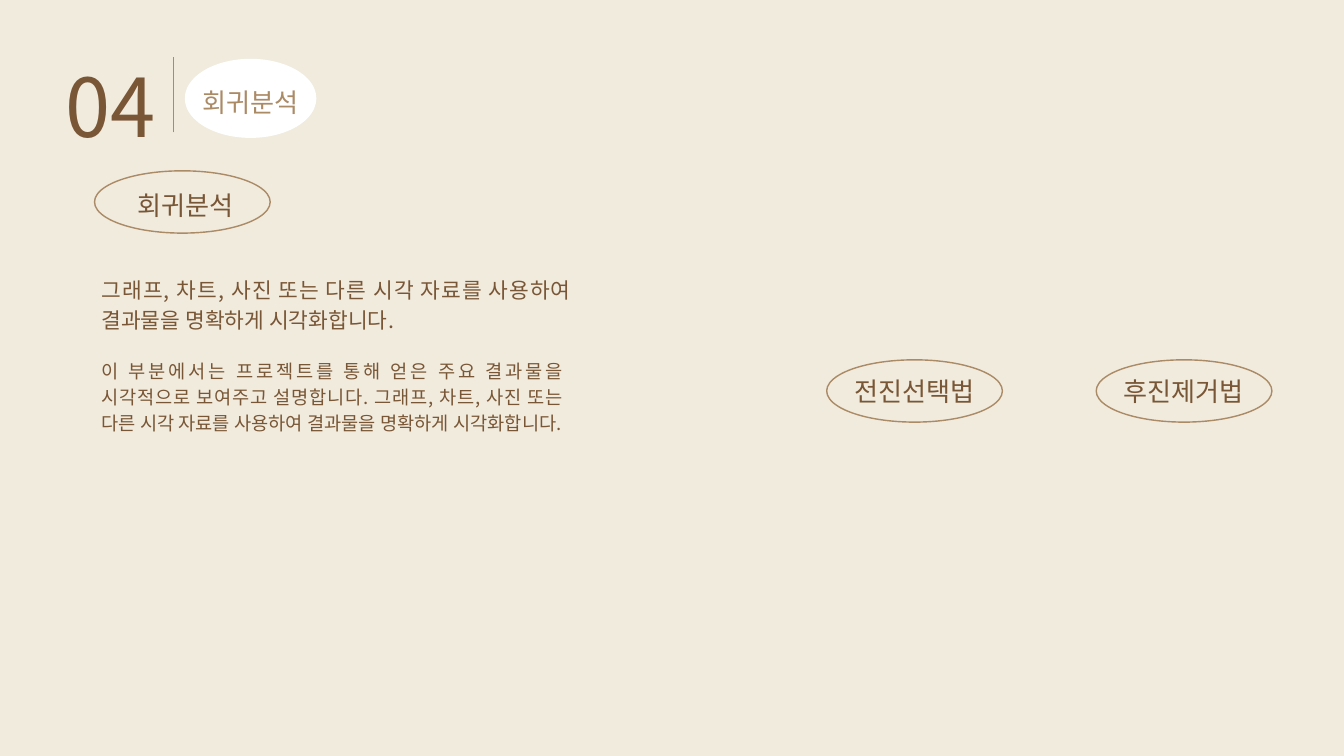
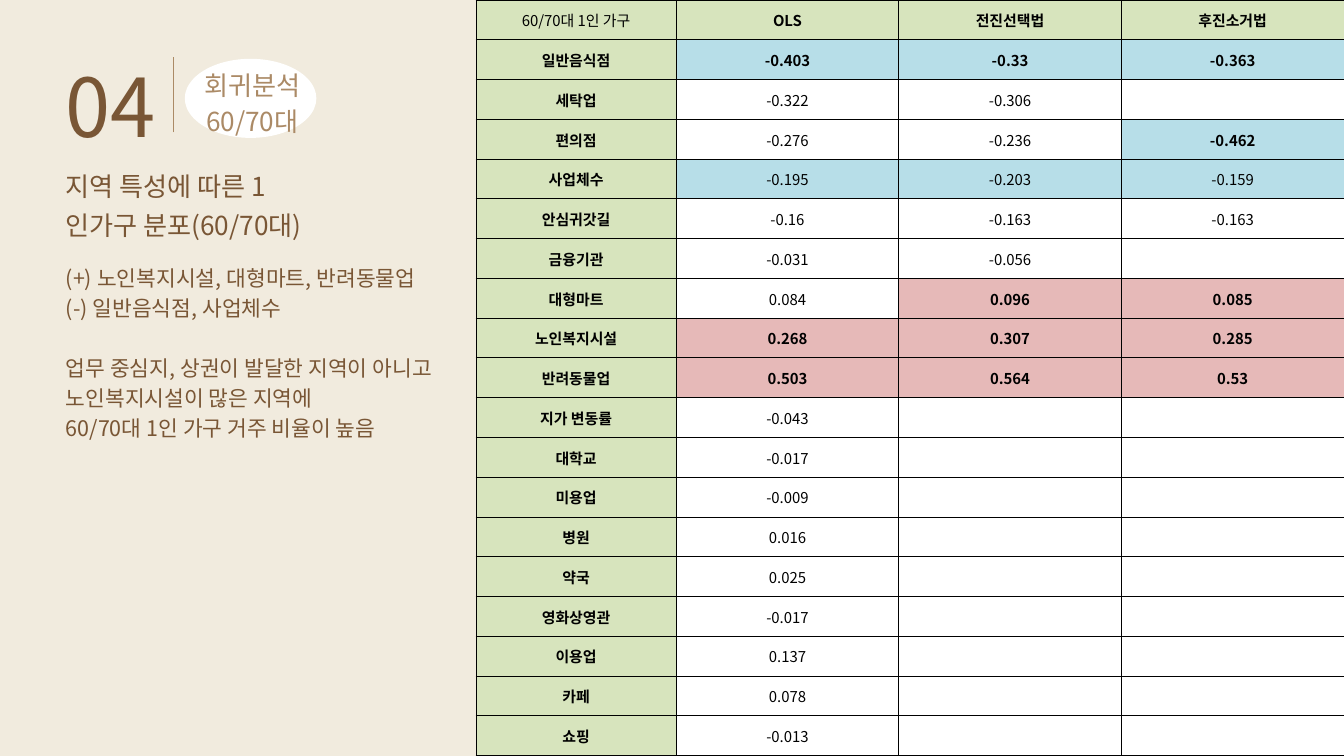
"""Builds the two regression analysis slides."""
from typing import NamedTuple

import lxml.etree
import pptx
import pptx.dml.color
import pptx.enum.shapes
import pptx.enum.text
import pptx.oxml.ns
import pptx.util

EMU_PER_PX = 9525
SANS = "Noto Sans CJK KR"
CREAM, BROWN, TAN = "F1EBDE", "795635", "AB8A66"
WHITE, BLACK = "FFFFFF", "000000"
GREEN, BLUE, PINK = "D7E4BD", "B7DEE8", "E6B9B8"
ALIGN = pptx.enum.text.PP_ALIGN


class Style(NamedTuple):
    size: int
    leading: float
    align: ALIGN = ALIGN.LEFT
    color: str = BROWN
    font: str = SANS


class Text(NamedTuple):
    left: int
    top: int
    width: int
    height: int
    style: Style
    lines: tuple[str, ...]
    gap_before: int = 0


class Badge(NamedTuple):
    left: int
    top: int
    label: Text


class Row(NamedTuple):
    name: str
    values: tuple[str, ...]
    marked: tuple[int, ...] = ()
    bold: bool = True


NUMBER = Style(87, 121.9)
TITLE = Style(28, 39.3, ALIGN.CENTER, TAN)
LABEL = Style(28, 39.3, ALIGN.CENTER)
HEADING = Style(28, 41.5)
BODY = Style(23, 32.3, ALIGN.JUSTIFY)
DETAIL = Style(20, 28, ALIGN.JUSTIFY)

BADGES = (
    Badge(1181, 514, Text(1218, 529, 176, 50, LABEL, ("전진선택법",))),
    Badge(135, 244, Text(177, 263, 176, 50, LABEL, ("회귀분석",))),
    Badge(1566, 514, Text(1603, 529, 176, 50, LABEL, ("후진제거법",))),
)
METHOD_TEXTS = (
    Text(145, 389, 671, 85, BODY,
         ("그래프, 차트, 사진 또는 다른 시각 자료를 사용하여 결과물을 명확하게 시각화합니다.",)),
    Text(145, 509, 659, 111, DETAIL,
         ("이 부분에서는 프로젝트를 통해 얻은 주요 결과물을 시각적으로 보여주고 설명합니다. "
          "그래프, 차트, 사진 또는 다른 시각 자료를 사용하여 결과물을 명확하게 시각화합니다.",)),
)
FINDING_TEXTS = (
    Text(94, 233, 386, 110, HEADING, ("지역 특성에 따른 1인가구 분포(60/70대)",)),
    Text(94, 372, 530, 301, BODY,
         ("(+) 노인복지시설, 대형마트, 반려동물업",
          "(-) 일반음식점, 사업체수",
          "업무 중심지, 상권이 발달한 지역이 아니고",
          "노인복지시설이 많은 지역에",
          "60/70대 1인 가구 거주 비율이 높음"), gap_before=2),
)

COLUMNS = ("60/70대 1인 가구", "OLS", "전진선택법", "후진소거법")
COLUMN_WIDTHS = (286, 318, 318, 318)
ROWS = (
    Row("일반음식점", ("-0.403", "-0.33", "-0.363"), (0, 1, 2)),
    Row("세탁업", ("-0.322", "-0.306", "")),
    Row("편의점", ("-0.276", "-0.236", "-0.462"), (2,)),
    Row("사업체수", ("-0.195", "-0.203", "-0.159"), (0, 1, 2), bold=False),
    Row("안심귀갓길", ("-0.16", "-0.163", "-0.163")),
    Row("금융기관", ("-0.031", "-0.056", "")),
    Row("대형마트", ("0.084", "0.096", "0.085"), (1, 2)),
    Row("노인복지시설", ("0.268", "0.307", "0.285"), (0, 1, 2)),
    Row("반려동물업", ("0.503", "0.564", "0.53"), (0, 1, 2)),
    Row("지가 변동률", ("-0.043", "", "")),
    Row("대학교", ("-0.017", "", "")),
    Row("미용업", ("-0.009", "", "")),
    Row("병원", ("0.016", "", "")),
    Row("약국", ("0.025", "", "")),
    Row("영화상영관", ("-0.017", "", "")),
    Row("이용업", ("0.137", "", "")),
    Row("카페", ("0.078", "", "")),
    Row("쇼핑", ("-0.013", "", "")),
)


def px(length: float) -> int:
    return pptx.util.Emu(round(length * EMU_PER_PX))


def rgb(value: str) -> pptx.dml.color.RGBColor:
    return pptx.dml.color.RGBColor.from_string(value)


def add_tag(parent, name: str, **attributes: str):
    return lxml.etree.SubElement(parent, pptx.oxml.ns.qn(name), attributes)


def set_font(para, size: int, color: str, name: str, bold: bool = False) -> None:
    font = para.font
    font.size = pptx.util.Pt(size)
    font.bold = bold
    font.color.rgb = rgb(color)
    font.name = name
    defaults = para._p.pPr.find(pptx.oxml.ns.qn("a:defRPr"))
    add_tag(defaults, "a:ea", typeface=SANS)


def set_line(line) -> None:
    line.color.rgb = rgb(TAN)
    line.width = pptx.util.Pt(1.5)


def add_text(page, text: Text) -> None:
    box = page.shapes.add_textbox(px(text.left), px(text.top), px(text.width), px(text.height))
    frame = box.text_frame
    frame.word_wrap = True
    frame.auto_size = pptx.enum.text.MSO_AUTO_SIZE.SHAPE_TO_FIT_TEXT
    frame.margin_left = frame.margin_top = frame.margin_right = frame.margin_bottom = 0
    style = text.style
    for index, line in enumerate(text.lines):
        para = frame.add_paragraph() if index else frame.paragraphs[0]
        para.text = line
        para.alignment = style.align
        para.line_spacing = pptx.util.Pt(style.leading)
        if index and index == text.gap_before:
            para.space_before = pptx.util.Pt(style.leading)
        set_font(para, style.size, style.color, style.font)


def add_oval(page, left: int, top: int, width: int, height: int):
    oval = page.shapes.add_shape(
        pptx.enum.shapes.MSO_SHAPE.OVAL, px(left), px(top), px(width), px(height))
    oval.shadow.inherit = False
    return oval


def add_badge(page, badge: Badge) -> None:
    oval = add_oval(page, badge.left, badge.top, 251, 89)
    oval.fill.background()
    set_line(oval.line)
    add_text(page, badge.label)


def add_header(page, title: Text) -> None:
    add_text(page, Text(94, 57, 145, 152, NUMBER, ("04",)))
    divider = page.shapes.add_connector(
        pptx.enum.shapes.MSO_CONNECTOR.STRAIGHT, px(248), px(189), px(248), px(82))
    set_line(divider.line)
    add_tag(divider._element.spPr, "a:effectLst")
    oval = add_oval(page, 264, 84, 188, 113)
    oval.fill.solid()
    oval.fill.fore_color.rgb = rgb(WHITE)
    oval.line.fill.background()
    add_text(page, title)


def add_borders(cell) -> None:
    properties = cell._tc.get_or_add_tcPr()
    for index, side in enumerate(("a:lnL", "a:lnR", "a:lnT", "a:lnB")):
        border = add_tag(properties, side, w=str(pptx.util.Pt(1)))
        add_tag(add_tag(border, "a:solidFill"), "a:srgbClr", val=BLACK)
        properties.insert(index, border)


def fill_cell(cell, words: str, fill: str, bold: bool) -> None:
    cell.fill.solid()
    cell.fill.fore_color.rgb = rgb(fill)
    cell.vertical_anchor = pptx.enum.text.MSO_ANCHOR.MIDDLE
    cell.margin_left = cell.margin_top = cell.margin_right = px(1)
    cell.margin_bottom = 0
    para = cell.text_frame.paragraphs[0]
    para.text = words
    para.alignment = ALIGN.CENTER
    set_font(para, 16, BLACK, SANS, bold)
    add_borders(cell)


def add_coefficients(page) -> None:
    row_count = len(ROWS) + 1
    table = page.shapes.add_table(
        row_count, len(COLUMNS), px(680), 0, px(1240), px(1080)).table
    table.first_row = table.horz_banding = False
    for column, width in zip(table.columns, COLUMN_WIDTHS):
        column.width = px(width)
    for line in table.rows:
        line.height = px(1080 / row_count)
    for index, heading in enumerate(COLUMNS):
        fill_cell(table.cell(0, index), heading, GREEN, index > 0)
    for number, row in enumerate(ROWS, 1):
        fill_cell(table.cell(number, 0), row.name, GREEN, True)
        for index, value in enumerate(row.values):
            marked = index in row.marked
            shade = BLUE if value.startswith("-") else PINK
            fill_cell(table.cell(number, index + 1), value,
                      shade if marked else WHITE, marked and row.bold)


def add_page(deck):
    page = deck.slides.add_slide(deck.slide_layouts[6])
    page.background.fill.solid()
    page.background.fill.fore_color.rgb = rgb(CREAM)
    return page


def main() -> None:
    deck = pptx.Presentation()
    deck.slide_width, deck.slide_height = px(1920), px(1080)

    method_page = add_page(deck)
    for text in METHOD_TEXTS:
        add_text(method_page, text)
    for badge in BADGES:
        add_badge(method_page, badge)
    add_header(method_page, Text(280, 116, 155, 50, TITLE._replace(font="Calibri"), ("회귀분석",)))

    result_page = add_page(deck)
    add_coefficients(result_page)
    for text in FINDING_TEXTS:
        add_text(result_page, text)
    add_header(result_page, Text(283, 91, 155, 105, TITLE, ("회귀분석", "60/70대")))

    deck.save("out.pptx")


if __name__ == "__main__":
    main()
